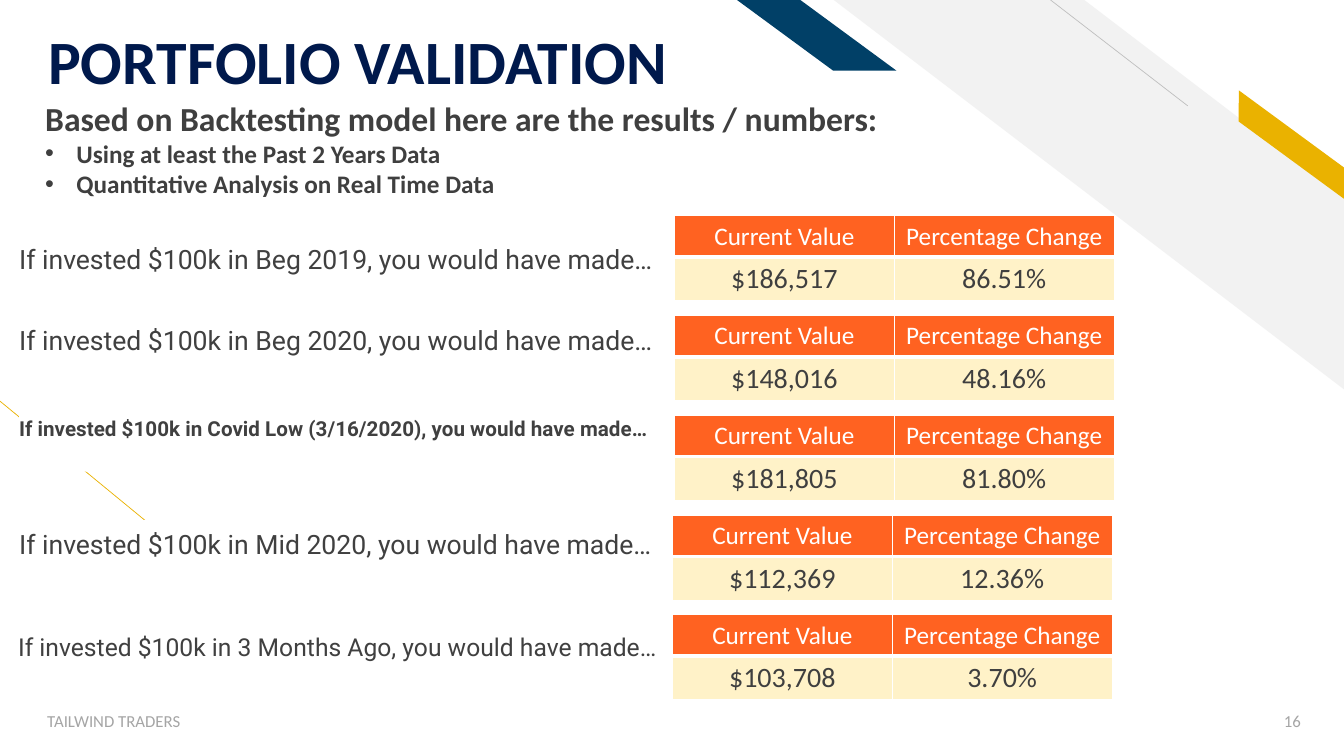
from lxml import etree
from pptx import Presentation
from pptx import util as u
from pptx.dml.color import RGBColor
from pptx.enum import shapes, text
from pptx.oxml.ns import qn

NAVY = RGBColor(0x00, 0x19, 0x4C)
TEAL = RGBColor(0x01, 0x40, 0x67)
GOLD = RGBColor(0xEA, 0xB2, 0x00)
ORANGE = RGBColor(0xFF, 0x62, 0x21)
CREAM = RGBColor(0xFF, 0xF2, 0xC8)
WHITE = RGBColor(0xFF, 0xFF, 0xFF)
PALE = RGBColor(0xF2, 0xF2, 0xF2)
SILVER = RGBColor(0xBF, 0xBF, 0xBF)
GRAY = RGBColor(0xA5, 0xA5, 0xA5)
DARK = RGBColor(0x3F, 0x3F, 0x3F)
PROMPT = RGBColor(0x40, 0x40, 0x40)

LEFT, RIGHT, CENTER = text.PP_ALIGN.LEFT, text.PP_ALIGN.RIGHT, text.PP_ALIGN.CENTER
TOP, MIDDLE, BOTTOM = (text.MSO_ANCHOR.TOP, text.MSO_ANCHOR.MIDDLE,
                       text.MSO_ANCHOR.BOTTOM)


class Page:
    """Current slide and its style; lengths are grid columns and rows."""
    GRID = u.Inches(0.1)
    FONT = "Calibri"

    def __init__(self, deck):
        self.page = deck.slides.add_slide(deck.slide_layouts[6])

    def place(self, *cells):
        return [int(cell * self.GRID) for cell in cells]

    def add_span(self, para, words, size, color, bold=False, font=FONT, align=LEFT):
        para.alignment = align
        span = para.add_run()
        span.text = words
        span.font.size = u.Pt(size)
        span.font.name = font
        span.font.bold = bold
        span.font.color.rgb = color

    def frame(self, box, anchor=TOP, insets=(1, 0.5, 1, 0.5)):
        frame = box.text_frame
        frame.word_wrap = True
        frame.vertical_anchor = anchor
        (frame.margin_left, frame.margin_top,
         frame.margin_right, frame.margin_bottom) = self.place(*insets)
        return frame

    def textbox(self, area, **layout):
        return self.frame(self.page.shapes.add_textbox(*self.place(*area)), **layout)

    def shape(self, kind, area, fill, adjust=None, flip=False, turn=0):
        box = self.page.shapes.add_shape(kind, *self.place(*area))
        box.shadow.inherit = False
        box.fill.solid()
        box.fill.fore_color.rgb = fill
        box.line.fill.background()
        box.rotation = turn
        if adjust is not None:
            box.adjustments[0] = adjust
        if flip:
            box.element.spPr.find(qn("a:xfrm")).set("flipH", "1")
        return box

    def line(self, ends, color):
        line = self.page.shapes.add_connector(
            shapes.MSO_CONNECTOR.STRAIGHT, *self.place(*ends))
        line.line.color.rgb = color
        line.line.width = u.Pt(0.5)
        etree.SubElement(line.element.spPr, qn("a:effectLst"))

    def bullet(self, para, indent):
        (hang,) = self.place(indent)
        props = para._p.get_or_add_pPr()
        props.set("marL", str(hang))
        props.set("indent", str(-hang))
        etree.SubElement(props, qn("a:buFont")).set("typeface", "Arial")
        etree.SubElement(props, qn("a:buChar")).set("char", "•")

    def borders(self, cell, **widths):
        props = cell._tc.get_or_add_tcPr()
        for index, side in enumerate("LRTB"):
            edge = etree.Element(qn("a:ln" + side), w=str(u.Pt(widths.get(side, 1))))
            paint = etree.SubElement(edge, qn("a:solidFill"))
            etree.SubElement(paint, qn("a:srgbClr")).set("val", str(WHITE))
            props.insert(index, edge)

    def table(self, area, header, values):
        table = self.page.shapes.add_table(2, len(header), *self.place(*area)).table
        looks = ((header, 18, WHITE, ORANGE, MIDDLE, {"B": 3}),
                 (values, 20, DARK, CREAM, TOP, {"T": 3}))
        for row, (entries, size, color, fill, anchor, edges) in enumerate(looks):
            for column, words in enumerate(entries):
                cell = table.cell(row, column)
                cell.fill.solid()
                cell.fill.fore_color.rgb = fill
                cell.vertical_anchor = anchor
                self.add_span(cell.text_frame.paragraphs[0], words, size, color,
                              align=CENTER)
                self.borders(cell, **edges)

    def prompt(self, area, words, size, bold, spacing):
        box = self.shape(shapes.MSO_SHAPE.RECTANGLE, area, WHITE)
        para = self.frame(box, insets=(0, 0.5, 0, 0.5)).paragraphs[0]
        para.line_spacing = spacing
        para.space_after = u.Pt(2)
        self.add_span(para, words, size, PROMPT, bold, "Roboto")


def main():
    deck = Presentation()
    deck.slide_width, deck.slide_height = u.Inches(13.33), u.Inches(7.5)
    page = Page(deck)
    preset = shapes.MSO_SHAPE

    # Background decoration
    page.line((20.8, 56.9, 0, 39.8), GOLD)
    page.shape(preset.DIAGONAL_STRIPE, (82.7, 0, 50.7, 38.7), PALE, 0.51, flip=True)
    page.line((117.8, 10.5, 104.2, 0), SILVER)
    page.shape(preset.PARALLELOGRAM, (120.7, 13.1, 14.8, 2.5), GOLD, 0.72,
               flip=True, turn=36.3)
    page.shape(preset.PARALLELOGRAM, (73.1, 0, 15.8, 7), TEAL, 1.36, flip=True)

    # Footer
    for area, words, align in (((3.7, 69.5, 45, 4), "TAILWIND TRADERS", LEFT),
                               ((121.9, 69.5, 8.1, 4), "16", RIGHT)):
        para = page.textbox(area, anchor=MIDDLE).paragraphs[0]
        page.add_span(para, words, 12, GRAY, align=align)

    # Title
    para = page.textbox((3.8, 1.2, 73, 8.5), anchor=BOTTOM,
                        insets=(1, 0.5, 1, 0)).paragraphs[0]
    para.line_spacing = 0.9
    page.add_span(para, "PORTFOLIO VALIDATION", 44, NAVY, bold=True)

    # Introduction
    intro = page.textbox((3.5, 9.2, 116.6, 14.1))
    page.add_span(intro.paragraphs[0],
                  "Based on Backtesting model here are the results / numbers:",
                  24, DARK, bold=True)
    for words in ("Using at least the Past 2 Years Data",
                  "Quantitative Analysis on Real Time Data"):
        para = intro.add_paragraph()
        page.bullet(para, 3.1)
        page.add_span(para, words, 18, DARK, bold=True)

    # Investment results: start, prompt left and top, size, bold, spacing,
    # table left, values
    results = (
        ("Beg 2019", 1.9, 23.3, 19, False, 1.1, 66.9, ("$186,517", "86.51%")),
        ("Beg 2020", 1.9, 31.3, 19, False, 1.1, 66.9, ("$148,016", "48.16%")),
        ("Covid Low (3/16/2020)", 1.9, 41, 14.7, True, 0.9, 66.9,
         ("$181,805", "81.80%")),
        ("Mid 2020", 1.9, 51.6, 19, False, 1.1, 66.7, ("$112,369", "12.36%")),
        ("3 Months Ago", 1.8, 61.9, 17.6, False, 1.1, 66.7, ("$103,708", "3.70%")),
    )
    for index, (start, left, top, size, bold, spacing, table_left,
                values) in enumerate(results):
        page.prompt((left, top, 63.4, 5.8),
                    f"If invested $100k in {start}, you would have made…",
                    size, bold, spacing)
        page.table((table_left, 21.4 + 9.9 * index, 43.6, 8.2),
                   ("Current Value", "Percentage Change"), values)

    deck.save("out.pptx")


if __name__ == "__main__":
    main()
